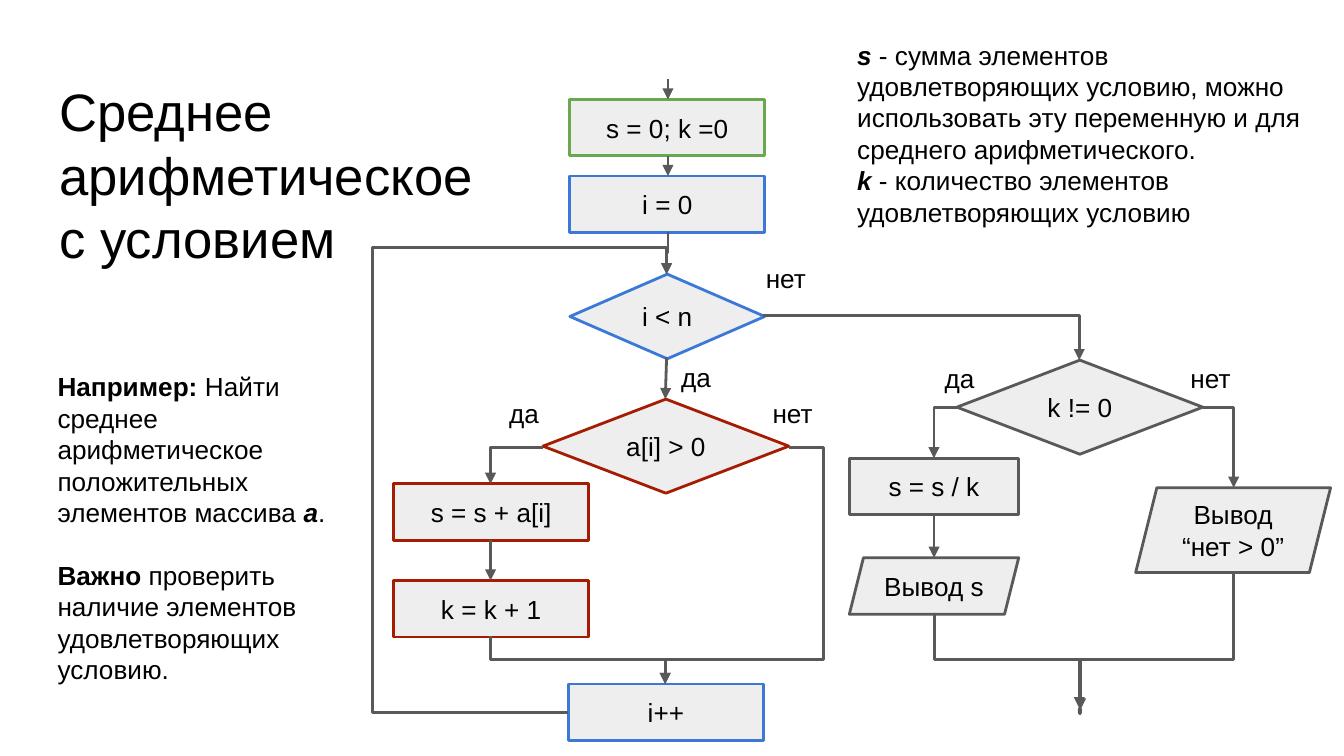
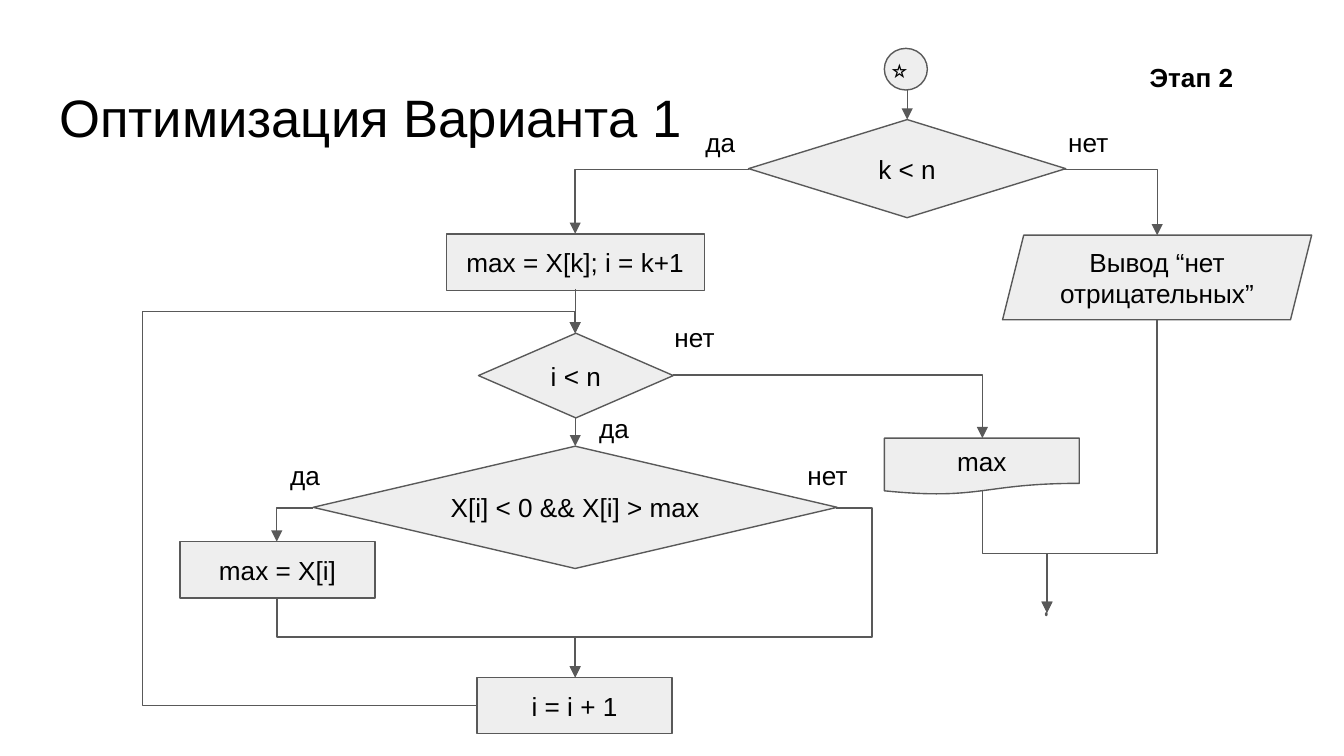
import pptx
import pptx.dml.color
import pptx.enum.shapes
import pptx.enum.text
import pptx.oxml.ns
import pptx.util
from lxml import etree
from pptx.util import Inches

COLORS = {"ink": "000000", "fill": "EEEEEE", "gray": "595959",
          "green": "6AA84F", "blue": "3C78D8", "red": "A61C00"}
RGB = {name: pptx.dml.color.RGBColor.from_string(code) for name, code in COLORS.items()}
FONT = "Arial"
ALIGN = pptx.enum.text.PP_ALIGN
ANCHOR = pptx.enum.text.MSO_ANCHOR
SHAPE = pptx.enum.shapes.MSO_SHAPE
CONNECTOR = pptx.enum.shapes.MSO_CONNECTOR
KINDS = {"step": SHAPE.RECTANGLE, "test": SHAPE.DIAMOND, "output": SHAPE.PARALLELOGRAM,
         "document": SHAPE.FLOWCHART_DOCUMENT, "node": SHAPE.OVAL}


def write(shape, paragraphs, size=14, align=ALIGN.LEFT, anchor=ANCHOR.TOP, inset=0.1, gap=0):
    """Fill a shape with paragraphs of (text, style) runs; style holds b and/or i."""
    frame = shape.text_frame
    frame.word_wrap = True
    frame.auto_size = pptx.enum.text.MSO_AUTO_SIZE.NONE
    frame.vertical_anchor = anchor
    frame.margin_left = frame.margin_right = Inches(inset)
    frame.margin_top = frame.margin_bottom = Inches(inset)
    for index, runs in enumerate(paragraphs):
        para = frame.add_paragraph() if index else frame.paragraphs[0]
        para.alignment = align
        para.line_spacing = 1.0
        para.space_before = pptx.util.Pt(gap if index else 0)
        for text, style in runs:
            span = para.add_run()
            span.text = text
            span.font.name = FONT
            span.font.size = pptx.util.Pt(size)
            span.font.bold = "b" in style
            span.font.italic = "i" in style
            span.font.color.rgb = RGB["ink"]


def add_arrow(page, points, weight):
    """Draw one connector through points, with bends where the route turns."""
    (x0, y0), (x1, y1) = points[0], points[-1]
    kind = CONNECTOR.STRAIGHT if len(points) == 2 else CONNECTOR.ELBOW
    arrow = page.shapes.add_connector(kind, Inches(x0), Inches(y0), Inches(x1), Inches(y1))
    arrow.line.color.rgb = RGB["gray"]
    arrow.line.width = pptx.util.Pt(weight)
    properties = arrow._element.spPr
    frame = properties.find(pptx.oxml.ns.qn("a:xfrm"))
    bends = []
    if len(points) == 4:  # down, across, down: a turned three-part connector
        bends = [(points[1][1] - y0) / (y1 - y0)]
        across, down = abs(x1 - x0), y1 - y0
        arrow.left = Inches((x0 + x1 - down) / 2)
        arrow.top = Inches((y0 + y1 - across) / 2)
        arrow.width, arrow.height = Inches(down), Inches(across)
        frame.set("rot", str((270 if x1 > x0 else 90) * 60000))
        frame.set("flipH", "1" if x1 > x0 else "0")
    elif len(points) == 5:
        bends = [(points[1][0] - x0) / (x1 - x0), (points[2][1] - y0) / (y1 - y0)]
        if y1 < y0:  # a half turn with a mirror equals a vertical flip
            frame.set("rot", str(180 * 60000))
            frame.set("flipH", "1")
            frame.set("flipV", "0")
    if len(points) > 2:
        geometry = properties.find(pptx.oxml.ns.qn("a:prstGeom"))
        geometry.set("prst", f"bentConnector{len(points) - 1}")
        guides = geometry.get_or_add_avLst()
        for number, bend in enumerate(bends, 1):
            etree.SubElement(guides, pptx.oxml.ns.qn("a:gd"), name=f"adj{number}",
                             fmla=f"val {round(bend * 100000)}")
    line = arrow.line._get_or_add_ln()
    etree.SubElement(line, pptx.oxml.ns.qn("a:tailEnd"), type="triangle")
    etree.SubElement(properties, pptx.oxml.ns.qn("a:effectLst"))


average = {
    "title": ("Среднее арифметическое с условием", 0.34, 0.49, 3.35, 1.62),
    "weight": 1.5,
    "blocks": [
        ("step", "s = 0; k =0", 4.24, 0.74, 1.45, 0.42, "green"),
        ("step", "i = 0", 4.24, 1.31, 1.45, 0.42, "blue"),
        ("test", "i < n", 4.24, 2.04, 1.45, 0.63, "blue"),
        ("test", "a[i] > 0", 4.04, 2.97, 1.83, 0.7, "red"),
        ("step", "s = s + a[i]", 2.93, 3.6, 1.45, 0.42, "red"),
        ("step", "k = k + 1", 2.93, 4.32, 1.45, 0.42, "red"),
        ("step", "i++", 4.23, 5.09, 1.45, 0.42, "blue"),
        ("test", "k != 0", 7.12, 2.68, 1.83, 0.7, "gray"),
        ("step", "s = s / k", 6.32, 3.41, 1.26, 0.42, "gray"),
        ("output", "Вывод s", 6.32, 4.15, 1.26, 0.42, "gray"),
        ("output", "Вывод “нет > 0”", 8.45, 3.63, 1.45, 0.63, "gray"),
        ("node", "", 8.03, 5.27, 0.01, 0.04, "gray"),
    ],
    "labels": [("нет", 5.6, 1.85), ("да", 4.97, 2.59), ("да", 3.69, 2.86),
               ("нет", 5.65, 2.86), ("да", 6.93, 2.6), ("нет", 8.76, 2.6)],
    "routes": [
        [(4.97, 0.59), (4.97, 0.74)],
        [(4.97, 1.16), (4.97, 1.31)],
        [(4.97, 1.73), (4.97, 1.88), (4.96, 1.88), (4.96, 2.04)],
        [(5.68, 2.35), (8.03, 2.35), (8.03, 2.68)],
        [(4.96, 2.66), (4.95, 2.97)],
        [(4.23, 5.3), (2.77, 5.3), (2.77, 1.84), (4.96, 1.84), (4.96, 2.04)],
        [(4.04, 3.33), (3.65, 3.33), (3.65, 3.6)],
        [(5.87, 3.33), (6.13, 3.33), (6.13, 4.91), (4.95, 4.91), (4.95, 5.09)],
        [(3.65, 4.02), (3.65, 4.32)],
        [(3.65, 4.73), (3.65, 4.91), (4.95, 4.91), (4.95, 5.09)],
        [(8.95, 3.03), (9.18, 3.03), (9.18, 3.63)],
        [(7.12, 3.03), (6.95, 3.03), (6.95, 3.41)],
        [(6.95, 3.83), (6.95, 4.15)],
        [(6.95, 4.56), (6.95, 4.91), (8.03, 4.91), (8.03, 5.27)],
        [(9.18, 4.25), (9.18, 4.91), (8.04, 4.91), (8.04, 5.28)],
    ],
    "notes": [
        (0.33, 2.66, 2.3, 2.56, ALIGN.LEFT, 16.8, [
            [("Например:", "b"),
             (" Найти среднее арифметическое положительных элементов массива ", ""),
             ("a", "bi"), (".", "")],
            [("Важно", "b"),
             (" проверить наличие элементов удовлетворяющих условию.", "")]]),
        (6.28, 0.19, 3.5, 1.62, ALIGN.LEFT, 0, [
            [("s", "bi"), (" - сумма элементов удовлетворяющих условию, можно использовать "
                           "эту переменную и для среднего арифметического.", "")],
            [("k", "bi"), (" - количество элементов удовлетворяющих условию", "")]]),
    ],
}

optimization = {
    "title": ("Оптимизация Варианта 1", 0.34, 0.53, 5.03, 1.07),
    "weight": 0.75,
    "blocks": [
        ("node", "⭐", 6.58, 0.36, 0.32, 0.31, "gray"),
        ("test", "k < n", 5.57, 0.89, 2.36, 0.73, "gray"),
        ("step", "max = X[k]; i = k+1", 3.32, 1.74, 1.92, 0.42, "gray"),
        ("output", "Вывод “нет отрицательных”", 7.46, 1.75, 2.3, 0.63, "gray"),
        ("test", "i < n", 3.56, 2.48, 1.45, 0.63, "gray"),
        ("test", "X[i] < 0 && X[i] > max", 2.33, 3.32, 3.9, 0.91, "gray"),
        ("document", "max", 6.58, 3.26, 1.45, 0.42, "gray"),
        ("step", "max = X[i]", 1.34, 4.03, 1.45, 0.42, "gray"),
        ("step", "i = i + 1", 3.55, 5.04, 1.45, 0.42, "gray"),
        ("node", "", 7.78, 4.56, 0.01, 0.02, "gray"),
    ],
    "labels": [("да", 5.15, 0.84), ("нет", 7.85, 0.84), ("нет", 4.92, 2.29),
               ("да", 4.36, 2.97), ("да", 2.06, 3.32), ("нет", 5.91, 3.32)],
    "routes": [
        [(6.75, 0.67), (6.75, 0.89)],
        [(5.57, 1.26), (4.28, 1.26), (4.28, 1.74)],
        [(7.92, 1.26), (8.61, 1.26), (8.61, 1.75)],
        [(4.28, 2.15), (4.28, 2.32), (4.28, 2.32), (4.28, 2.48)],
        [(5.01, 2.79), (7.31, 2.79), (7.31, 3.26)],
        [(4.28, 3.11), (4.28, 3.32)],
        [(3.55, 5.25), (1.06, 5.25), (1.06, 2.32), (4.28, 2.32), (4.28, 2.48)],
        [(2.33, 3.78), (2.06, 3.78), (2.06, 4.03)],
        [(6.22, 3.78), (6.49, 3.78), (6.49, 4.74), (4.28, 4.74), (4.28, 5.04)],
        [(2.06, 4.45), (2.06, 4.74), (4.28, 4.74), (4.28, 5.04)],
        [(8.61, 2.38), (8.61, 4.12), (7.79, 4.12), (7.79, 4.56)],
        [(7.31, 3.65), (7.31, 4.12), (7.79, 4.12), (7.79, 4.56)],
    ],
    "notes": [(8.12, 0.36, 1.49, 0.44, ALIGN.CENTER, 0, [[("Этап 2", "b")]])],
}

deck = pptx.Presentation()
deck.slide_width = Inches(10)
deck.slide_height = deck.slide_width * 9 // 16

for chart in (average, optimization):
    page = deck.slides.add_slide(deck.slide_layouts[5])
    text, *area = chart["title"]
    title = page.shapes.title
    title.left, title.top, title.width, title.height = map(Inches, area)
    write(title, [[(text, "")]], size=28.2)

    for kind, text, left, top, width, height, color in chart["blocks"]:
        block = page.shapes.add_shape(KINDS[kind], Inches(left), Inches(top),
                                      Inches(width), Inches(height))
        block.shadow.inherit = False
        block.fill.solid()
        block.fill.fore_color.rgb = RGB["fill"]
        block.line.color.rgb = RGB[color]
        block.line.width = pptx.util.Pt(chart["weight"])
        if text:
            write(block, [[(text, "")]], anchor=ANCHOR.MIDDLE,
                  align=ALIGN.LEFT if kind == "node" else ALIGN.CENTER,
                  inset=0 if kind == "node" or width > 3 else 0.1)

    for points in chart["routes"]:
        add_arrow(page, points, chart["weight"])

    for text, left, top in chart["labels"]:
        box = page.shapes.add_textbox(Inches(left), Inches(top), Inches(0.57), Inches(0.44))
        write(box, [[(text, "")]])

    for left, top, width, height, align, gap, paragraphs in chart["notes"]:
        box = page.shapes.add_textbox(Inches(left), Inches(top), Inches(width), Inches(height))
        write(box, paragraphs, align=align, gap=gap)

deck.save("out.pptx")
